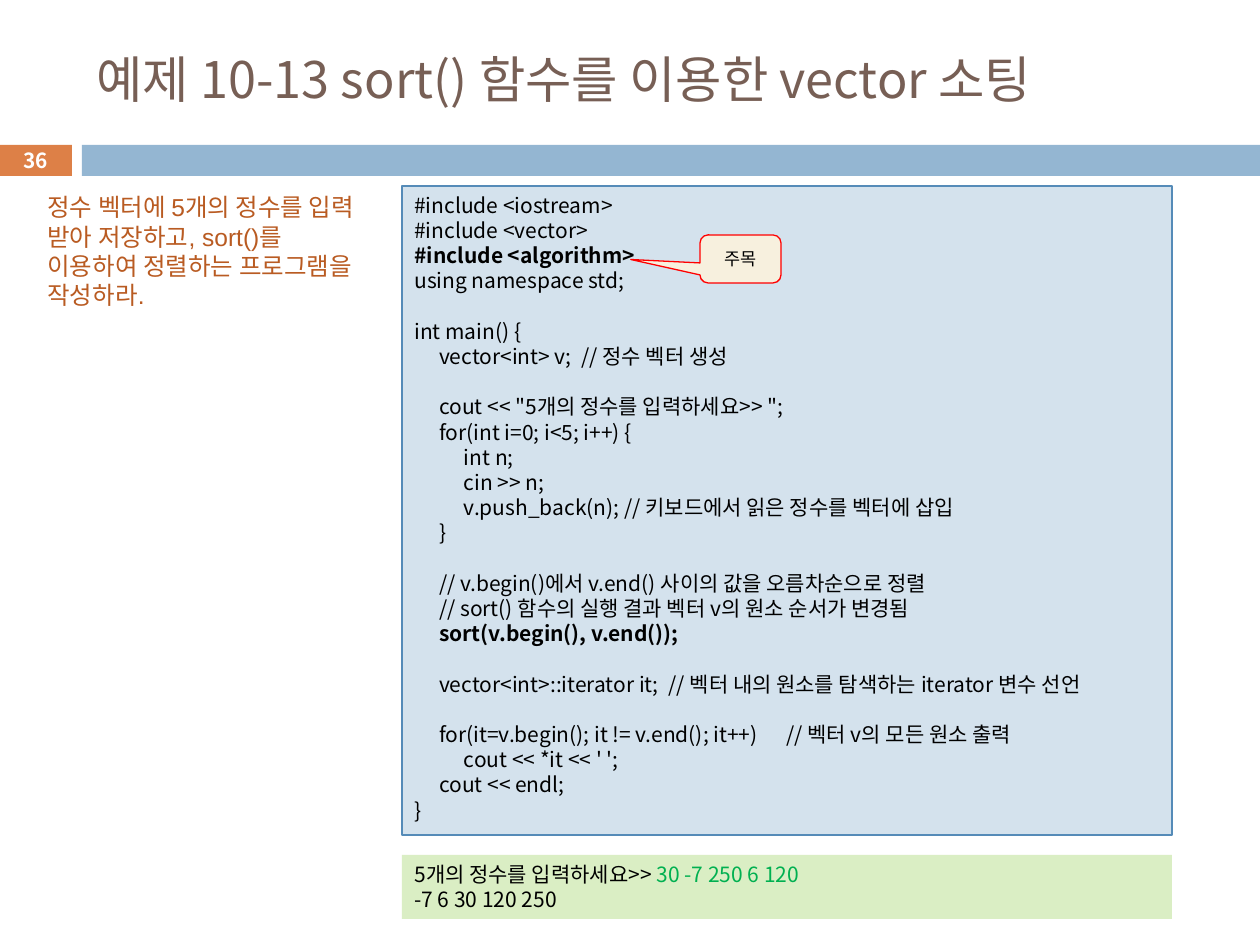
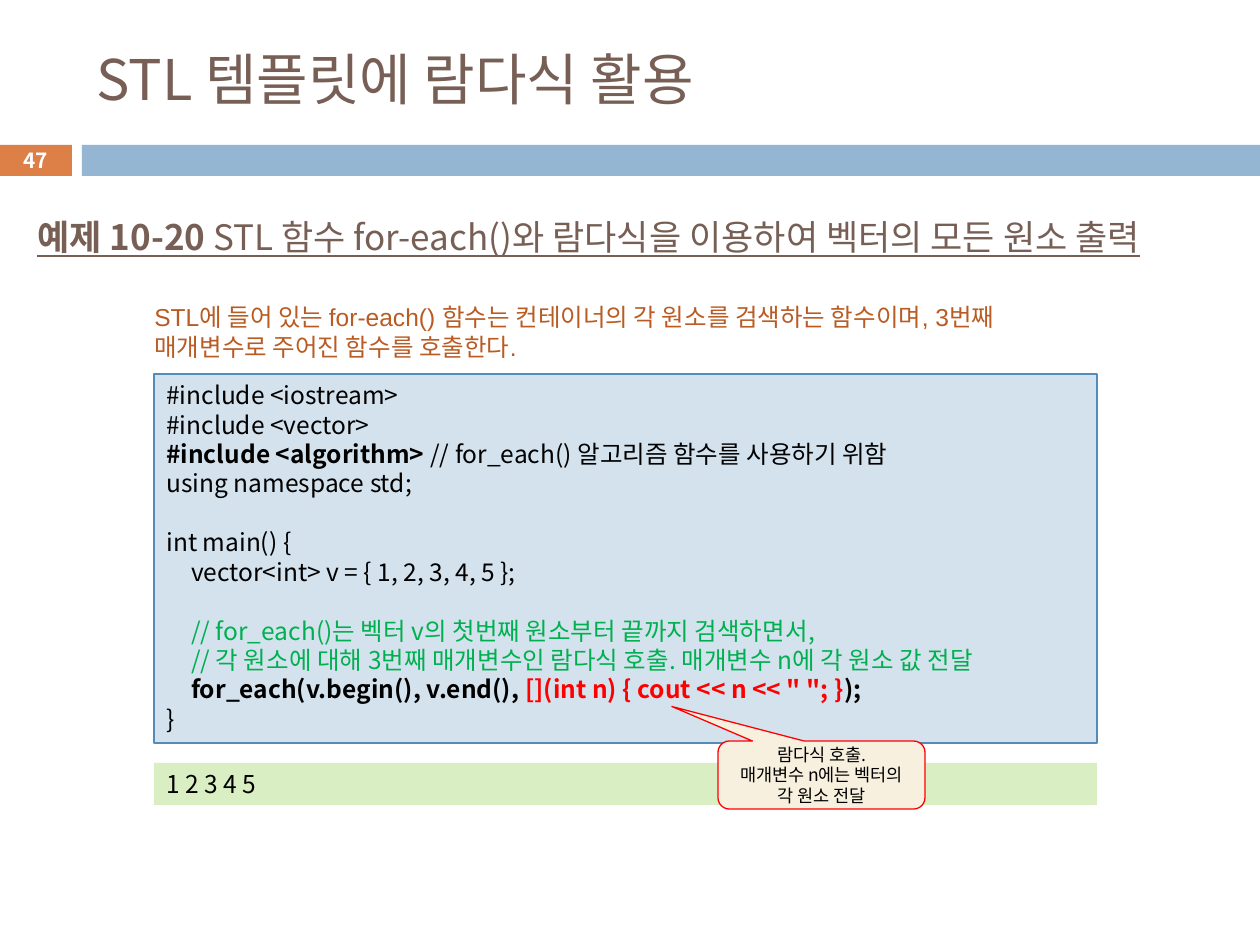
import pptx
import pptx.util
import pptx.dml.color
import pptx.enum.shapes
import pptx.enum.text
import pptx.oxml
import pptx.oxml.ns

PX = 914400 / 126
SANS = "Noto Sans CJK KR"
BROWN, ORANGE, BLUE, RUST = "775F55", "DD8047", "94B6D2", "B95B22"
BLACK, WHITE, RED, GREEN = "000000", "FFFFFF", "FF0000", "00B050"
TAB_STOPS = (1, 2, 15)
SHAPES = pptx.enum.shapes.MSO_SHAPE
ANCHOR = pptx.enum.text.MSO_ANCHOR
ALIGN = pptx.enum.text.PP_ALIGN

TITLE = {"color": BROWN, "anchor": ANCHOR.MIDDLE}
NUMBER = {"color": WHITE, "bold": True, "anchor": ANCHOR.MIDDLE, "align": ALIGN.CENTER}
TASK = {"color": RUST, "font": "Arial"}
CODE = {"fill": "D4E2ED", "line": "558BB8", "tabs": True}
RESULT = {"fill": "DAEEC4"}
CALLOUT = {"preset": SHAPES.ROUNDED_RECTANGULAR_CALLOUT, "fill": "F7F0DE", "line": RED,
           "anchor": ANCHOR.MIDDLE, "align": ALIGN.CENTER}
BOLD = {"bold": True}


def tint(color_format, value):
    color_format.rgb = pptx.dml.color.RGBColor.from_string(value)


def add_box(page, frame, lines, size, look):
    box = page.shapes.add_shape(look.get("preset", SHAPES.RECTANGLE),
                                *[round(length * PX) for length in frame])
    box.shadow.inherit = False
    for part, key in ((box.fill, "fill"), (box.line.fill, "line")):
        if key in look:
            part.solid()
            tint(part.fore_color, look[key])
        else:
            part.background()
    if "line" in look:
        box.line.width = pptx.util.Pt(0.75)
    for index, value in enumerate(look.get("adjust", ())):
        box.adjustments[index] = value
    text = box.text_frame
    text.word_wrap = True
    text.vertical_anchor = look.get("anchor", ANCHOR.TOP)
    para, gap = None, 0
    for line in lines:
        if not line:
            gap += 1.2 * size
            continue
        para = text.add_paragraph() if para is not None else text.paragraphs[0]
        layout = {"alignment": look.get("align", ALIGN.LEFT),
                  "line_spacing": pptx.util.Pt(1.2 * size),
                  "space_before": pptx.util.Pt(gap)}
        for name, value in layout.items():
            setattr(para, name, value)
        gap = 0
        if look.get("tabs"):
            properties = para._p.get_or_add_pPr()
            stops = pptx.oxml.ns.qn("a:tabLst")
            tab_list = properties.makeelement(stops, {})
            properties.append(tab_list)
            for stop in TAB_STOPS:
                tab = tab_list.makeelement(pptx.oxml.ns.qn("a:tab"),
                                           {"pos": str(stop * 180000), "algn": "l"})
                tab_list.append(tab)
        for words, changes in [(line, {})] if isinstance(line, str) else line:
            span = para.add_run()
            span.text = words
            values = {"name": look.get("font", SANS), "size": pptx.util.Pt(size),
                      "bold": look.get("bold", False), "color": look.get("color", BLACK)}
            values.update(changes)
            tint(span.font.color, values.pop("color"))
            for name, value in values.items():
                setattr(span.font, name, value)
            east_asian = pptx.oxml.parse_xml(
                f'<a:ea {pptx.oxml.ns.nsdecls("a")} typeface="{SANS}"/>')
            span.font._element.find(pptx.oxml.ns.qn("a:latin")).addnext(east_asian)


sort_code = [
    "#include <iostream>",
    "#include <vector>",
    [("#include <algorithm>", BOLD)],
    "using namespace std;",
    "",
    "int main() {",
    "\tvector<int> v;  // 정수 벡터 생성",
    "",
    "\tcout << \"5개의 정수를 입력하세요>> \";",
    "\tfor(int i=0; i<5; i++) {",
    "\t\tint n;",
    "\t\tcin >> n;",
    "\t\tv.push_back(n); // 키보드에서 읽은 정수를 벡터에 삽입",
    "\t}",
    "",
    "\t// v.begin()에서 v.end() 사이의 값을 오름차순으로 정렬",
    "\t// sort() 함수의 실행 결과 벡터 v의 원소 순서가 변경됨",
    [("\tsort(v.begin(), v.end());", BOLD)],
    "",
    "\tvector<int>::iterator it;  // 벡터 내의 원소를 탐색하는 iterator 변수 선언",
    "",
    "\tfor(it=v.begin(); it != v.end(); it++) \t// 벡터 v의 모든 원소 출력",
    "\t\tcout << *it << ' ';",
    "\tcout << endl;",
    "}",
]
sort_result = [
    [("5개의 정수를 입력하세요>> ", {}), ("30 -7 250 6 120", {"color": GREEN})],
    "-7 6 30 120 250",
]
lambda_code = [
    "#include <iostream>",
    "#include <vector>",
    [("#include <algorithm> ", BOLD), ("// for_each() 알고리즘 함수를 사용하기 위함", {})],
    "using namespace std;",
    "",
    "int main() {",
    "\tvector<int> v = { 1, 2, 3, 4, 5 };",
    "",
    [("\t// for_each()는 벡터 v의 첫번째 원소부터 끝까지 검색하면서,", {"color": GREEN})],
    [("\t// 각 원소에 대해 3번째 매개변수인 람다식 호출. 매개변수 n에 각 원소 값 전달",
      {"color": GREEN})],
    [("\tfor_each(v.begin(), v.end(), ", BOLD),
     ("[](int n) { cout << n << \" \"; }", {"bold": True, "color": RED}),
     (");", BOLD)],
    "}",
]
example_heading = [[
    (words, {"bold": bold, "underline": True}) for words, bold in (
        ("예제", True), (" ", False), ("10-20", True),
        (" STL 함수 for-each()와 람다식을 이용하여 벡터의 모든 원소 출력", False))
]]
sort_task = ["정수 벡터에 5개의 정수를 입력 받아 저장하고, sort()를 이용하여 정렬하는 프로그램을 작성하라."]
lambda_task = ["STL에 들어 있는 for-each() 함수는 컨테이너의 각 원소를 검색하는 함수이며, "
               "3번째 매개변수로 주어진 함수를 호출한다."]
lambda_note = ["람다식 호출.", "매개변수 n에는 벡터의 각 원소 전달"]

pages = [
    ("36", "예제 10-13 sort() 함수를 이용한 vector 소팅", 28.8, [
        ((402, 186, 770, 649), sort_code, 12, CODE),
        ((402, 855, 770, 64), sort_result, 12, RESULT),
        ((700, 235, 81, 48), ["주목"], 10, CALLOUT | {"adjust": (-1.355, 0.012, 0.167)}),
        ((35, 186, 348, 131), sort_task, 14, TASK),
    ]),
    ("47", "STL 템플릿에 람다식 활용", 32, [
        ((142, 296, 955, 72), lambda_task, 14, TASK),
        ((154, 374, 943, 369), lambda_code, 14, CODE),
        ((154, 763, 943, 42), ["1 2 3 4 5"], 14, RESULT),
        ((718, 741, 207, 68), lambda_note, 10, CALLOUT | {"adjust": (-0.723, -1.008, 0.167)}),
        ((25, 190, 1221, 93), example_heading, 20, TITLE),
    ]),
]

deck = pptx.Presentation()
deck.slide_width = round(1260 * PX)
deck.slide_height = round(945 * PX)
for number, title, title_size, boxes in pages:
    page = deck.slides.add_slide(deck.slide_layouts[6])
    add_box(page, (-1, 145, 73, 31), [], 12, {"fill": ORANGE})
    add_box(page, (82, 145, 1178, 31), [], 12, {"fill": BLUE})
    add_box(page, (84, 32, 1124, 93), [title], title_size, TITLE)
    add_box(page, (-1, 143, 73, 34), [number], 11.9, NUMBER)
    for frame, lines, size, look in boxes:
        add_box(page, frame, lines, size, look)
deck.save("out.pptx")
